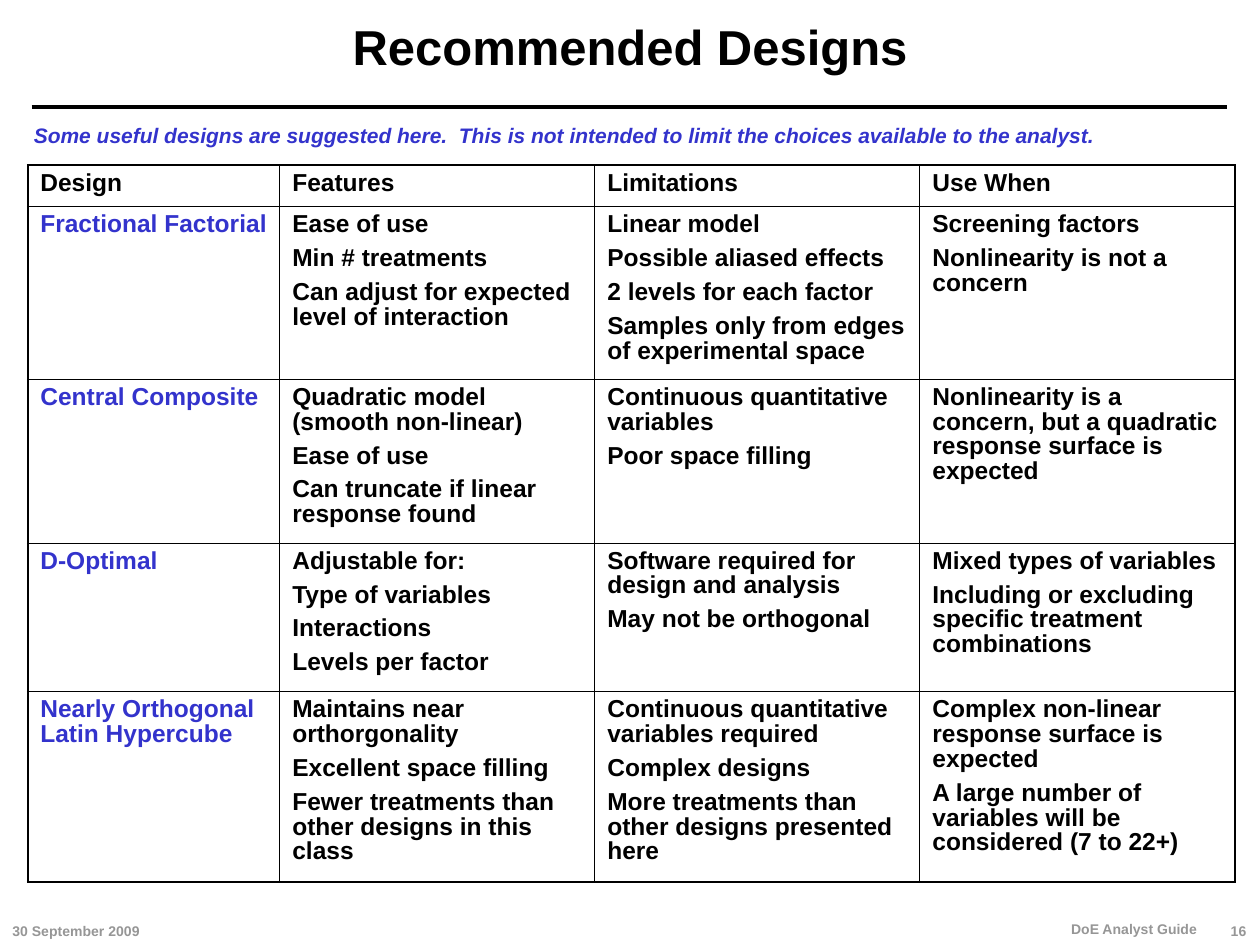
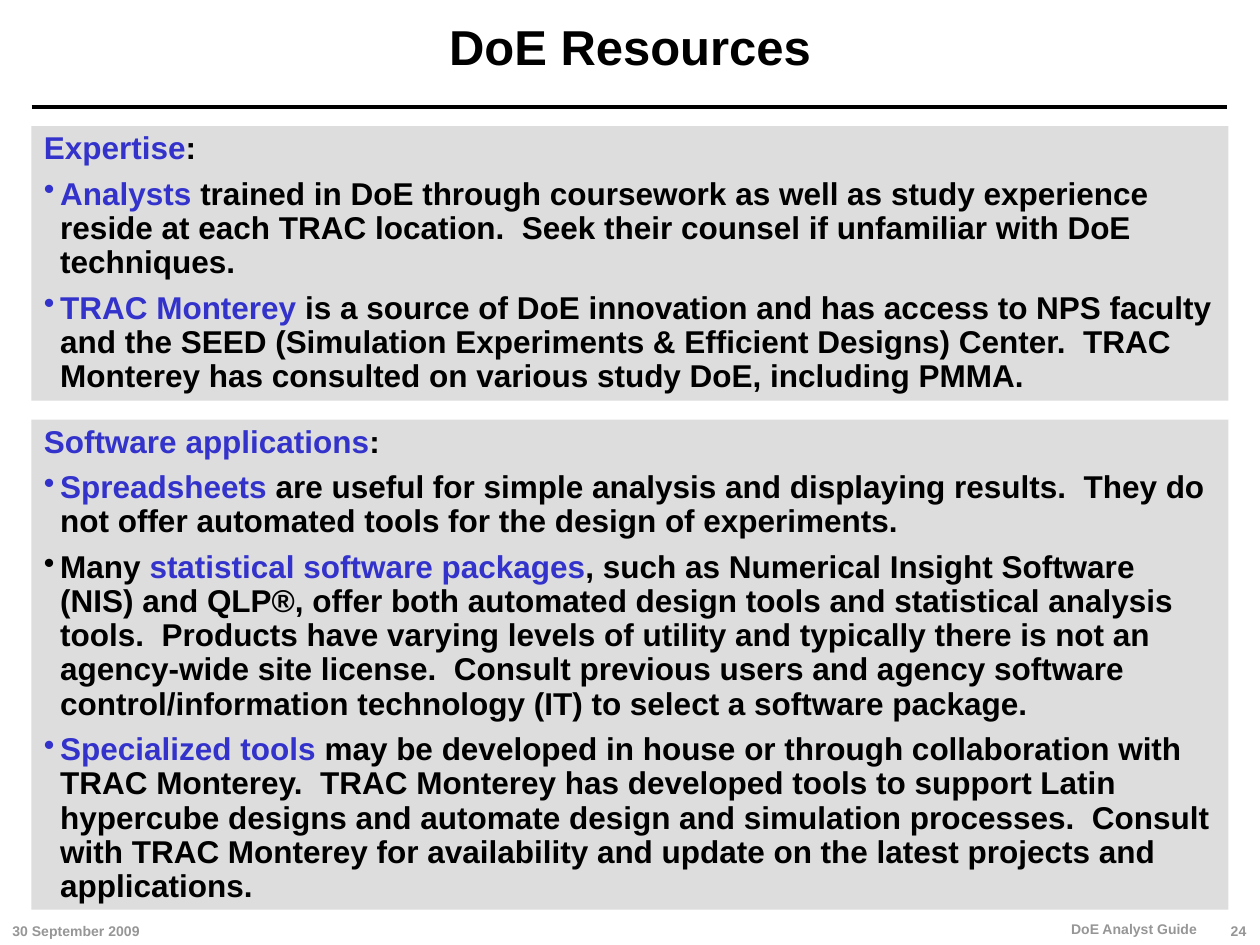
from dataclasses import dataclass
from typing import Sequence

from lxml.etree import SubElement
from pptx import Presentation
from pptx.dml.color import RGBColor
from pptx.enum.shapes import MSO_CONNECTOR as Connector, MSO_SHAPE as Shape
from pptx.enum.text import MSO_ANCHOR as Anchor, MSO_AUTO_SIZE as AutoSize, PP_ALIGN as Align
from pptx.oxml import parse_xml
from pptx.oxml.ns import nsdecls, qn
from pptx.slide import Slide
from pptx.table import _Cell as Cell
from pptx.text.text import TextFrame
from pptx.util import Inches, Pt

BLACK = RGBColor(0x00, 0x00, 0x00)
BLUE = RGBColor(0x33, 0x33, 0xCC)
GRAY = RGBColor(0x96, 0x96, 0x96)
PANEL_GRAY = RGBColor(0xDD, 0xDD, 0xDD)

FONT = "Arial"
SLIDE_WIDTH, SLIDE_HEIGHT = Inches(10), Inches(7.5)
COLUMN, ROW = SLIDE_WIDTH // 100, SLIDE_HEIGHT // 75
TITLE_ONLY = 5
INDENT = Inches(0.13)
INNER_BORDER, OUTER_BORDER = Pt(0.45), Pt(1.08)


@dataclass(frozen=True)
class Box:
    """A rectangle counted in grid columns and rows."""

    left: float
    top: float
    width: float
    height: float

    def emu(self) -> tuple[int, int, int, int]:
        """Return left, top, width and height as lengths."""
        return (int(self.left * COLUMN), int(self.top * ROW),
                int(self.width * COLUMN), int(self.height * ROW))


@dataclass(frozen=True)
class Panel:
    """A gray block with a heading and bulleted points; *stars* mark blue words."""

    box: Box
    heading: str
    points: tuple[str, ...]


@dataclass(frozen=True)
class Design:
    """One row of the table of recommended designs."""

    name: str
    features: tuple[str, ...]
    limitations: tuple[str, ...]
    use_when: tuple[str, ...]


TITLE_BOX = Box(2.5, 0, 95, 7.8)
RULE = Box(2.5, 8.5, 94.9, 0)
DATE_BOX = Box(0, 72.5, 20, 2.5)
GUIDE_BOX = Box(66, 72.4, 30, 2.5)
NUMBER_BOX = Box(95.9, 72.5, 4, 2.5)
INTRO_BOX = Box(1.7, 9.2, 96.7, 3)
TABLE_BOX = Box(2.2, 13.1, 95.8, 56.9)
TABLE_COLUMNS = (20, 25, 25.8, 25)
TABLE_ROWS = (3.3, 13.7, 13, 11.8, 15.1)

INTRO = ("Some useful designs are suggested here.  This is not intended to limit "
         "the choices available to the analyst.")
HEADINGS = ("Design", "Features", "Limitations", "Use When")
DESIGNS = (
    Design("Fractional Factorial",
           ("Ease of use", "Min # treatments", "Can adjust for expected level of interaction"),
           ("Linear model", "Possible aliased effects", "2 levels for each factor",
            "Samples only from edges of experimental space"),
           ("Screening factors", "Nonlinearity is not a concern")),
    Design("Central Composite",
           ("Quadratic model (smooth non-linear)", "Ease of use",
            "Can truncate if linear response found"),
           ("Continuous quantitative variables", "Poor space filling"),
           ("Nonlinearity is a concern, but a quadratic response surface is expected",)),
    Design("D-Optimal",
           ("Adjustable for:", "Type of variables", "Interactions", "Levels per factor"),
           ("Software required for design and analysis", "May not be orthogonal"),
           ("Mixed types of variables",
            "Including or excluding specific treatment combinations")),
    Design("Nearly Orthogonal Latin Hypercube",
           ("Maintains near orthorgonality", "Excellent space filling",
            "Fewer treatments than other designs in this class"),
           ("Continuous quantitative variables required", "Complex designs",
            "More treatments than other designs presented here"),
           ("Complex non-linear response surface is expected",
            "A large number of variables will be considered (7 to 22+)")),
)
PANELS = (
    Panel(Box(2.5, 10, 95, 21.8), "*Expertise*:", (
        "*Analysts* trained in DoE through coursework as well as study experience reside at "
        "each TRAC location.  Seek their counsel if unfamiliar with DoE techniques.",
        "*TRAC Monterey* is a source of DoE innovation and has access to NPS faculty and the "
        "SEED (Simulation Experiments & Efficient Designs) Center.  TRAC Monterey has "
        "consulted on various study DoE, including PMMA.")),
    Panel(Box(2.5, 33.3, 95, 38.9), "*Software applications*:", (
        "*Spreadsheets* are useful for simple analysis and displaying results.  They do not "
        "offer automated tools for the design of experiments.",
        "Many *statistical software packages*, such as Numerical Insight Software (NIS) and "
        "QLP®, offer both automated design tools and statistical analysis tools.  Products "
        "have varying levels of utility and typically there is not an agency-wide site "
        "license.  Consult previous users and agency software control/information "
        "technology (IT) to select a software package.",
        "*Specialized tools* may be developed in house or through collaboration with TRAC "
        "Monterey.  TRAC Monterey has developed tools to support Latin hypercube designs and "
        "automate design and simulation processes.  Consult with TRAC Monterey for "
        "availability and update on the latest projects and applications.")),
)


def write(frame: TextFrame, lines: Sequence[str], *, size: float, color: RGBColor = BLACK,
          italic: bool = False, align: Align = Align.LEFT, spacing: float = 1.0,
          before: float = 0, bulleted: bool = False) -> None:
    """Fill a frame with bold paragraphs, turning words between stars blue."""
    for position, line in enumerate(lines):
        paragraph = frame.paragraphs[0] if position == 0 else frame.add_paragraph()
        paragraph.alignment = align
        paragraph.line_spacing = spacing
        paragraph.space_before = Pt(before)
        if bulleted:
            hang(paragraph, BLUE if line.startswith("*") else color, bullet=position > 0)
        for part, words in enumerate(line.split("*")):
            if words:
                run = paragraph.add_run()
                run.text = words
                run.font.name = FONT
                run.font.size = Pt(size)
                run.font.bold = True
                run.font.italic = italic
                run.font.color.rgb = BLUE if part % 2 else color


def hang(paragraph, color: RGBColor, *, bullet: bool) -> None:
    """Give a paragraph a hanging indent and, if asked, a coloured bullet."""
    properties = paragraph._p.get_or_add_pPr()
    properties.set("marL", str(INDENT))
    properties.set("indent", str(-INDENT))
    if bullet:
        tint = SubElement(properties, qn("a:buClr"))
        SubElement(tint, qn("a:srgbClr")).set("val", str(color))
        SubElement(properties, qn("a:buChar")).set("char", "•")


def add_label(slide: Slide, box: Box, text: str, *, anchor: Anchor = Anchor.TOP,
              **text_format) -> None:
    """Add a wrapping text box holding one paragraph."""
    frame = slide.shapes.add_textbox(*box.emu()).text_frame
    frame.word_wrap = True
    frame.vertical_anchor = anchor
    write(frame, [text], **text_format)


def add_titled_slide(deck, title: str, number: int) -> Slide:
    """Add a slide with its title, rule and footer."""
    slide = deck.slides.add_slide(deck.slide_layouts[TITLE_ONLY])
    heading = slide.shapes.title
    heading.left, heading.top, heading.width, heading.height = TITLE_BOX.emu()
    frame = heading.text_frame
    frame.margin_left = frame.margin_right = frame.margin_top = frame.margin_bottom = 0
    frame.vertical_anchor = Anchor.MIDDLE
    frame.auto_size = AutoSize.NONE
    write(frame, [title], size=28, align=Align.CENTER, spacing=0.9)

    left, top, width, height = RULE.emu()
    rule = slide.shapes.add_connector(Connector.STRAIGHT, left, top, left + width, top + height)
    rule.line.color.rgb = BLACK
    rule.line.width = Pt(2.5)
    SubElement(rule._element.spPr, qn("a:effectLst"))

    for box, text, align in ((DATE_BOX, "30 September 2009", Align.LEFT),
                             (NUMBER_BOX, str(number), Align.RIGHT),
                             (GUIDE_BOX, "DoE Analyst Guide", Align.RIGHT)):
        add_label(slide, box, text, anchor=Anchor.BOTTOM, size=8, color=GRAY, align=align)
    return slide


def set_borders(cell: Cell, widths: dict[str, int]) -> None:
    """Draw black borders of the given widths, keyed L, R, T, B in that order."""
    properties = cell._tc.get_or_add_tcPr()
    for order, (side, width) in enumerate(widths.items()):
        properties.insert(order, parse_xml(
            f'<a:ln{side} {nsdecls("a")} w="{width}"><a:solidFill>'
            f'<a:srgbClr val="{BLACK}"/></a:solidFill></a:ln{side}>'))


def add_design_table(slide: Slide) -> None:
    """Add the table that compares the recommended designs."""
    content = [tuple((heading,) for heading in HEADINGS)]
    content += [((design.name,), design.features, design.limitations, design.use_when)
                for design in DESIGNS]
    last_row, last_column = len(content) - 1, len(HEADINGS) - 1
    table = slide.shapes.add_table(len(content), len(HEADINGS), *TABLE_BOX.emu()).table
    table.first_row = table.horz_banding = False
    for column, share in zip(table.columns, TABLE_COLUMNS):
        column.width = int(share * COLUMN)
    for row, share in zip(table.rows, TABLE_ROWS):
        row.height = int(share * ROW)
    for r, entries in enumerate(content):
        for c, lines in enumerate(entries):
            cell = table.cell(r, c)
            cell.fill.background()
            edges = {"L": c == 0, "R": c == last_column, "T": r == 0, "B": r == last_row}
            set_borders(cell, {side: OUTER_BORDER if outer else INNER_BORDER
                               for side, outer in edges.items()})
            write(cell.text_frame, lines, size=14, color=BLUE if r and c == 0 else BLACK,
                  spacing=0.9, before=5.2)


def add_panel(slide: Slide, panel: Panel) -> None:
    """Add a gray block with its heading and points."""
    block = slide.shapes.add_shape(Shape.RECTANGLE, *panel.box.emu())
    block.shadow.inherit = False
    block.fill.solid()
    block.fill.fore_color.rgb = PANEL_GRAY
    block.line.fill.background()
    frame = block.text_frame
    frame.word_wrap = True
    frame.auto_size = AutoSize.SHAPE_TO_FIT_TEXT
    frame.vertical_anchor = Anchor.TOP
    write(frame, [panel.heading, *panel.points], size=18, spacing=0.9, before=6.8, bulleted=True)


def main() -> None:
    """Build and save the two slides."""
    deck = Presentation()
    deck.slide_width, deck.slide_height = SLIDE_WIDTH, SLIDE_HEIGHT

    designs = add_titled_slide(deck, "Recommended Designs", 16)
    add_label(designs, INTRO_BOX, INTRO, size=12, color=BLUE, italic=True)
    add_design_table(designs)

    resources = add_titled_slide(deck, "DoE Resources", 24)
    for panel in PANELS:
        add_panel(resources, panel)

    deck.save("out.pptx")


if __name__ == "__main__":
    main()
